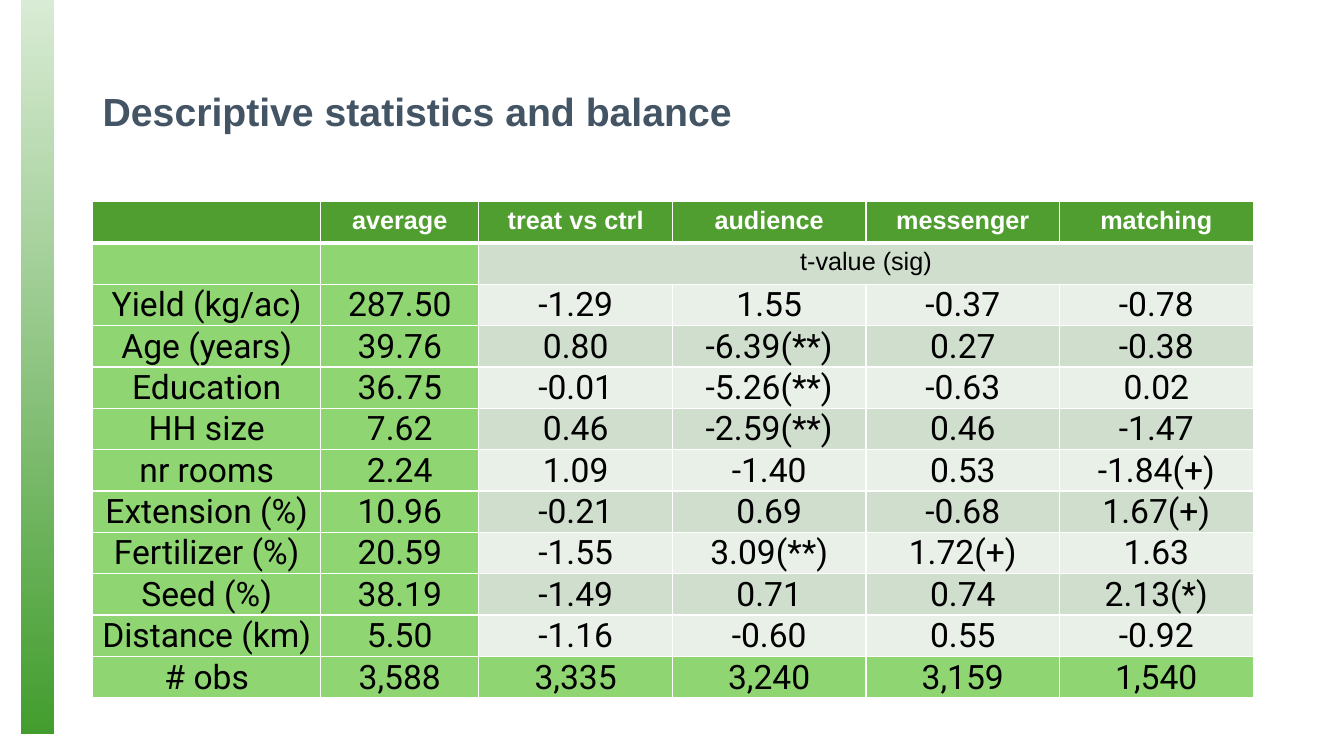
"""Build the slide with the descriptive statistics and balance table."""
from lxml import etree
from pptx import Presentation
from pptx.dml.color import RGBColor
from pptx.enum.shapes import MSO_SHAPE
from pptx.enum.text import MSO_ANCHOR, PP_ALIGN
from pptx.oxml.ns import qn
from pptx.util import Inches, Pt

RECT = MSO_SHAPE.RECTANGLE
TOP, MIDDLE = MSO_ANCHOR.TOP, MSO_ANCHOR.MIDDLE
CENTER = PP_ALIGN.CENTER

TITLE = "Descriptive statistics and balance"
ROWS = [
    ("", "average", "treat vs ctrl", "audience", "messenger", "matching"),
    ("", "", "t-value (sig)", "", "", ""),
    ("Yield (kg/ac)", "287.50", "-1.29", "1.55", "-0.37", "-0.78"),
    ("Age (years)", "39.76", "0.80", "-6.39(**)", "0.27", "-0.38"),
    ("Education", "36.75", "-0.01", "-5.26(**)", "-0.63", "0.02"),
    ("HH size", "7.62", "0.46", "-2.59(**)", "0.46", "-1.47"),
    ("nr rooms", "2.24", "1.09", "-1.40", "0.53", "-1.84(+)"),
    ("Extension (%)", "10.96", "-0.21", "0.69", "-0.68", "1.67(+)"),
    ("Fertilizer (%)", "20.59", "-1.55", "3.09(**)", "1.72(+)", "1.63"),
    ("Seed (%)", "38.19", "-1.49", "0.71", "0.74", "2.13(*)"),
    ("Distance (km)", "5.50", "-1.16", "-0.60", "0.55", "-0.92"),
    ("# obs", "3,588", "3,335", "3,240", "3,159", "1,540"),
]
COL_WIDTHS = [2.26, 1.57] + [1.92] * 4
ROW_HEIGHT = 0.41
LEFT, WIDTH = 0.92, 11.5
LABEL_COLS = 2

THEME = {
    "title": "435464", "bar": "439E2E", "header": "509E2F", "label": "8FD572",
    "band_dark": "D0DFCD", "band_light": "E9F0E8", "white": "FFFFFF", "black": "000000",
    "heading_font": "Arial", "data_font": "Roboto",
    "title_size": 28, "head_size": 18, "data_size": 24,
    "thin": 1, "thick": 3,
}


def color(name):
    return RGBColor.from_string(THEME[name])


def add_run(p, text, size, font, ink, bold=False):
    r = p.add_run()
    r.text = text
    r.font.size = Pt(THEME[size])
    r.font.name = THEME[font]
    r.font.color.rgb = color(ink)
    r.font.bold = bold


def add_side_bar(s):
    bar = s.shapes.add_shape(RECT, Inches(0.21), 0, Inches(0.32), Inches(7.28))
    bar.shadow.inherit = False
    bar.line.fill.background()
    bar.fill.gradient()
    bar.fill.gradient_angle = 270
    for stop, position in zip(bar.fill.gradient_stops, (0, 1)):
        stop.position = position
        stop.color.rgb = color("bar")
    first = next(bar.fill._xPr.iter(qn("a:srgbClr")))
    etree.SubElement(first, qn("a:alpha"), val="20000")


def add_title(s):
    box = s.shapes.add_textbox(Inches(LEFT), Inches(0.4), Inches(WIDTH), Inches(1.45))
    tf = box.text_frame
    tf.word_wrap = True
    tf.vertical_anchor = MIDDLE
    p = tf.paragraphs[0]
    p.line_spacing = 0.9
    add_run(p, TITLE, "title_size", "heading_font", "title", True)


def set_borders(cell, row):
    thick_sides = {0: "B", 1: "T"}
    tc_pr = cell._tc.get_or_add_tcPr()
    for i, side in enumerate("LRTB"):
        weight = "thick" if thick_sides.get(row) == side else "thin"
        ln = etree.Element(qn(f"a:ln{side}"), w=str(Pt(THEME[weight])))
        fill = etree.SubElement(ln, qn("a:solidFill"))
        etree.SubElement(fill, qn("a:srgbClr"), val=THEME["white"])
        tc_pr.insert(i, ln)


def cell_fill(row, col):
    if row == 0:
        return "header"
    if col < LABEL_COLS or row == len(ROWS) - 1:
        return "label"
    return "band_dark" if row % 2 else "band_light"


def fill_cell(cell, row, col, text):
    cell.fill.solid()
    cell.fill.fore_color.rgb = color(cell_fill(row, col))
    set_borders(cell, row)
    is_data = row > 1
    cell.vertical_anchor = MIDDLE if is_data else TOP
    if is_data:
        cell.margin_left = cell.margin_right = cell.margin_top = Inches(0.01)
        cell.margin_bottom = 0
    if text:
        p = cell.text_frame.paragraphs[0]
        p.alignment = CENTER
        kind = "data" if is_data else "head"
        font = "data_font" if is_data else "heading_font"
        add_run(p, text, f"{kind}_size", font, "black" if row else "white", row == 0)


def add_balance_table(s):
    n_rows, n_cols = len(ROWS), len(COL_WIDTHS)
    table = s.shapes.add_table(n_rows, n_cols, Inches(LEFT), Inches(2),
                               Inches(WIDTH), Inches(n_rows * ROW_HEIGHT)).table
    for column, width in zip(table.columns, COL_WIDTHS):
        column.width = Inches(width)
    for row, values in enumerate(ROWS):
        table.rows[row].height = Inches(ROW_HEIGHT)
        for col, text in enumerate(values):
            fill_cell(table.cell(row, col), row, col, text)
    table.cell(1, LABEL_COLS).merge(table.cell(1, n_cols - 1))


def main():
    prs = Presentation()
    prs.slide_width, prs.slide_height = Inches(13.33), Inches(7.5)
    s = prs.slides.add_slide(prs.slide_layouts[6])
    add_side_bar(s)
    add_title(s)
    add_balance_table(s)
    prs.save("out.pptx")


if __name__ == "__main__":
    main()
